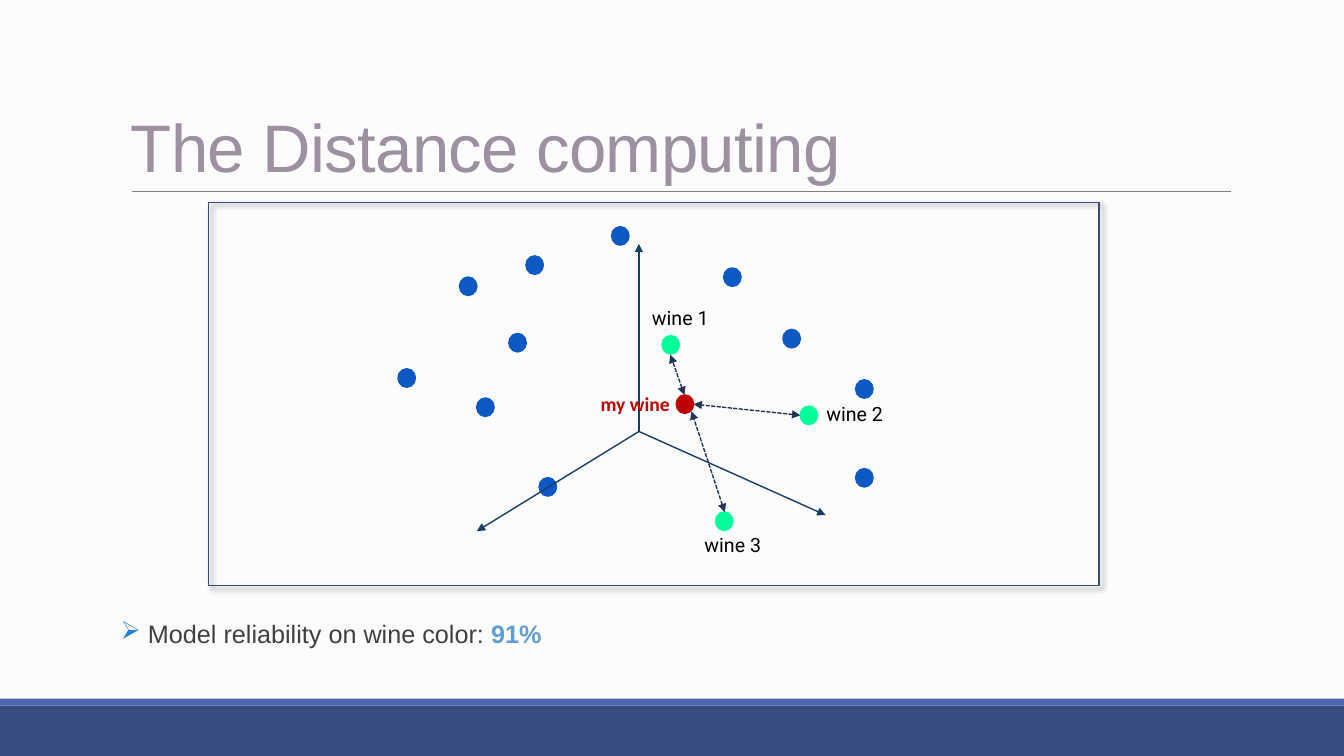
from dataclasses import dataclass

from lxml.etree import SubElement
from pptx import Presentation
from pptx.dml.color import RGBColor
from pptx.enum.dml import MSO_LINE
from pptx.enum.shapes import MSO_CONNECTOR, MSO_SHAPE
from pptx.enum.text import MSO_ANCHOR, MSO_AUTO_SIZE
from pptx.oxml.ns import qn
from pptx.util import Pt

COLORS = {
    "background": "FCFCFC", "footer": "384C81", "footer_edge": "4A66AC",
    "rule": "808080", "title": "9D90A0", "body": "404040", "bullet": "297FD5",
    "percent": "629DD1", "mine": "C00000", "near": "00FF99", "far": "0E58C4",
    "axis": "143F6A", "distance": "253356", "frame": "374B7F", "label": "000000",
}
DOT_WIDTH, DOT_HEIGHT = 12.24, 12.96


@dataclass
class Dot:
    left: float
    top: float
    color: str = "far"


@dataclass
class Line:
    start: tuple[float, float]
    end: tuple[float, float]
    color: str
    width: float = 1
    dashed: bool = False
    start_arrow: bool = False
    end_arrow: bool = False


@dataclass
class Label:
    text: str
    left: float
    top: float
    width: float
    font: str = "Roboto"
    color: str = "label"
    bold: bool = False


def rgb(name: str) -> RGBColor:
    return RGBColor.from_string(COLORS[name])


def add_box(slide, kind, left: float, top: float, width: float, height: float,
            fill: str | None = None, line: str | None = None):
    shape = slide.shapes.add_shape(kind, Pt(left), Pt(top), Pt(width), Pt(height))
    shape.shadow.inherit = False
    if fill:
        shape.fill.solid()
        shape.fill.fore_color.rgb = rgb(fill)
    else:
        shape.fill.background()
    if line:
        shape.line.color.rgb = rgb(line)
        shape.line.width = Pt(1.25)
    else:
        shape.line.fill.background()
    return shape


def add_line(slide, line: Line) -> None:
    connector = slide.shapes.add_connector(
        MSO_CONNECTOR.STRAIGHT, *(Pt(value) for value in line.start + line.end))
    connector.line.color.rgb = rgb(line.color)
    connector.line.width = Pt(line.width)
    if line.dashed:
        connector.line.dash_style = MSO_LINE.SQUARE_DOT
    properties = connector._element.spPr
    outline = properties.find(qn("a:ln"))
    if line.start_arrow:
        SubElement(outline, qn("a:headEnd"), type="triangle")
    if line.end_arrow:
        SubElement(outline, qn("a:tailEnd"), type="triangle")
    SubElement(properties, qn("a:effectLst"))


def add_text_box(slide, left: float, top: float, width: float, height: float,
                 wrap: bool = True):
    shape = slide.shapes.add_textbox(Pt(left), Pt(top), Pt(width), Pt(height))
    shape.text_frame.word_wrap = wrap
    return shape.text_frame


def add_text(paragraph, text: str, *, font: str = "Arial", size: float = 14,
             color: str = "label", bold: bool = False, spacing: float = 0) -> None:
    run = paragraph.add_run()
    run.text = text
    run.font.name = font
    run.font.size = Pt(size)
    run.font.bold = bold
    run.font.color.rgb = rgb(color)
    if spacing:
        run.font._element.set("spc", str(round(spacing * 100)))


def add_bullet(paragraph, character: str, color: str, indent: float) -> None:
    properties = paragraph._element.get_or_add_pPr()
    properties.set("marL", str(Pt(indent)))
    properties.set("indent", str(-Pt(indent)))
    bullet_color = SubElement(properties, qn("a:buClr"))
    SubElement(bullet_color, qn("a:srgbClr"), val=COLORS[color])
    SubElement(properties, qn("a:buChar"), char=character)


def add_shadow(shape) -> None:
    effects = shape._element.spPr.find(qn("a:effectLst"))
    shadow = SubElement(effects, qn("a:outerShdw"), blurRad=str(Pt(4)),
                        dist=str(Pt(3)), dir=str(45 * 60000), algn="tl",
                        rotWithShape="0")
    color = SubElement(shadow, qn("a:srgbClr"), val=COLORS["label"])
    SubElement(color, qn("a:alpha"), val="40000")


DOTS = [
    Dot(483.1, 282.2, "mine"),
    Dot(328.3, 198), Dot(284.4, 263.5), Dot(375.8, 182.9), Dot(385.2, 341.3),
    Dot(559.4, 235.4), Dot(611.3, 334.8), Dot(611.3, 271.4), Dot(517, 191.5),
    Dot(363.6, 238.3), Dot(437, 162), Dot(340.6, 284.4),
    Dot(511.2, 365.8, "near"), Dot(473, 239.8, "near"), Dot(571.7, 290.2, "near"),
]
AXIS_ORIGIN = (456.4, 308.2)
AXIS_ENDS = [(456.4, 174.2), (340.6, 379.4), (589.7, 367.9)]
DISTANCES = [
    ((488.9, 282.2), (478.8, 253.4)),
    ((571.7, 296.6), (495.4, 288.7)),
    ((517.7, 365.8), (493.9, 293.8)),
]
LABELS = [
    Label("my wine", 421.9, 276.5, 64.1, "Calibri", "mine", True),
    Label("wine 1", 458.6, 215.3, 54.7),
    Label("wine 2", 583.2, 283.7, 54.7),
    Label("wine 3", 496.1, 377.3, 54.7),
]


def main() -> None:
    presentation = Presentation()
    presentation.slide_width, presentation.slide_height = Pt(960), Pt(540)
    slide = presentation.slides.add_slide(presentation.slide_layouts[6])
    slide.background.fill.solid()
    slide.background.fill.fore_color.rgb = rgb("background")

    # Footer bands and title rule
    add_box(slide, MSO_SHAPE.RECTANGLE, 0, 504, 960, 36, "footer")
    add_box(slide, MSO_SHAPE.RECTANGLE, 0, 499, 960, 5, "footer_edge")
    add_line(slide, Line((94.3, 136.8), (879.1, 136.8), "rule", 0.5))

    # Title
    title = add_text_box(slide, 86.4, 22.3, 792, 114.5)
    title.vertical_anchor = MSO_ANCHOR.BOTTOM
    title.paragraphs[0].line_spacing = 0.85
    add_text(title.paragraphs[0], "The Distance computing", size=48,
             color="title", spacing=-0.5)

    # Reliability statement
    body = add_text_box(slide, 86.4, 440.6, 792, 51.1)
    body.margin_left = body.margin_right = 0
    statement = body.paragraphs[0]
    statement.line_spacing = 0.9
    statement.space_before, statement.space_after = Pt(12), Pt(2)
    add_bullet(statement, "➢", "bullet", 7.2)
    add_text(statement, " Model reliability on wine color: ", size=18, color="body")
    add_text(statement, "91%", size=18, color="percent", bold=True)

    # Wines, axes and distances
    for dot in DOTS:
        add_box(slide, MSO_SHAPE.OVAL, dot.left, dot.top, DOT_WIDTH, DOT_HEIGHT,
                dot.color, dot.color)
    for end in AXIS_ENDS:
        add_line(slide, Line(AXIS_ORIGIN, end, "axis", end_arrow=True))
    for start, end in DISTANCES:
        add_line(slide, Line(start, end, "distance", dashed=True,
                             start_arrow=True, end_arrow=True))

    # Frame around the diagram
    add_shadow(add_box(slide, MSO_SHAPE.RECTANGLE, 149, 144.7, 635.8, 273.6,
                       line="frame"))

    # Wine labels
    for label in LABELS:
        frame = add_text_box(slide, label.left, label.top, label.width, 24.2, wrap=False)
        frame.auto_size = MSO_AUTO_SIZE.SHAPE_TO_FIT_TEXT
        add_text(frame.paragraphs[0], label.text, font=label.font,
                 color=label.color, bold=label.bold)

    presentation.save("out.pptx")


if __name__ == "__main__":
    main()
